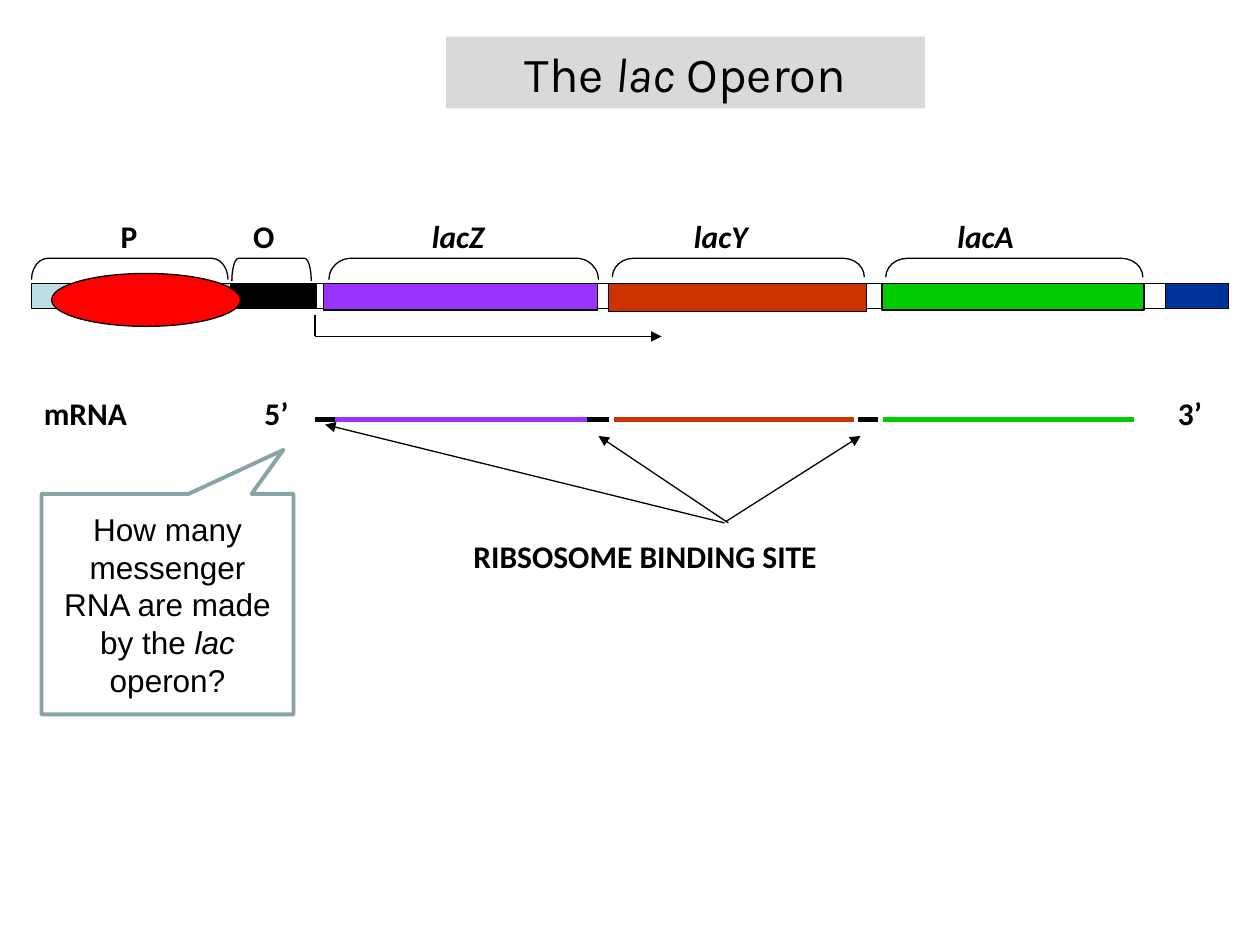
"""Build a slide on the lac operon: its genes, its mRNA and the ribosome binding sites."""
from lxml import etree
from pptx import Presentation
from pptx import util as u
from pptx.dml.color import RGBColor
from pptx.enum import shapes, text
from pptx.oxml.ns import qn

BLACK = RGBColor(0x00, 0x00, 0x00)
WHITE = RGBColor(0xFF, 0xFF, 0xFF)
GREY = RGBColor(0xD9, 0xD9, 0xD9)
PALE_BLUE = RGBColor(0xBB, 0xE0, 0xE3)
NAVY = RGBColor(0x00, 0x33, 0x99)
PURPLE = RGBColor(0x99, 0x33, 0xFF)
RUST = RGBColor(0xCC, 0x33, 0x00)
GREEN = RGBColor(0x00, 0xCC, 0x00)
RED = RGBColor(0xFF, 0x00, 0x00)
TEAL = RGBColor(0x89, 0xA4, 0xA7)

SHAPE = shapes.MSO_SHAPE
CENTER = text.PP_ALIGN.CENTER

DNA_TOP = 2.25
BRACKET_TOP = 2.05
LABEL_TOP = 1.67
MRNA_LABEL_TOP = 3.08
MRNA_Y = 3.33


def place(box, left, top, width, height):
    """Move and size a shape in inches."""
    box.left, box.top = u.Inches(left), u.Inches(top)
    box.width, box.height = u.Inches(width), u.Inches(height)


def write(box, spans, size=18, font="Calibri", bold=False, align=None,
          anchor=text.MSO_ANCHOR.TOP):
    """Fill a shape with one paragraph of (words, italic) spans."""
    frame = box.text_frame
    frame.word_wrap = True
    frame.auto_size = text.MSO_AUTO_SIZE.NONE
    frame.vertical_anchor = anchor
    para = frame.paragraphs[0]
    para.alignment = align
    for words, italic in spans:
        span = para.add_run()
        span.text = words
        span.font.name, span.font.size = font, u.Pt(size)
        span.font.bold, span.font.italic = bold, italic
        span.font.color.rgb = BLACK


def add_label(page, words, left, top, width, italic=False):
    """Add a bold one-line label."""
    box = page.shapes.add_textbox(*map(u.Inches, (left, top, width, 0.4)))
    write(box, [(words, italic)], bold=True)


def add_outlined(page, kind, left, top, width, height, fill=None,
                 line=BLACK, weight=0.75):
    """Add an outlined preset shape, hollow when no fill is given."""
    box = page.shapes.add_shape(kind, *map(u.Inches, (left, top, width, height)))
    box.shadow.inherit = False
    if fill is None:
        box.fill.background()
    else:
        box.fill.solid()
        box.fill.fore_color.rgb = fill
    box.line.color.rgb, box.line.width = line, u.Pt(weight)
    return box


def add_bracket(page, left, span, depth):
    """Add a bracket that opens downwards over a stretch of DNA."""
    box = add_outlined(page, SHAPE.LEFT_BRACKET, left + (span - depth) / 2,
                       BRACKET_TOP + (depth - span) / 2, depth, span)
    box.adjustments[0] = span / 12 / depth
    box.rotation = 90


def add_line(page, start, end, color=BLACK, weight=0.75, arrow=False):
    """Add a straight line, with an arrowhead at its end if asked."""
    line = page.shapes.add_connector(shapes.MSO_CONNECTOR.STRAIGHT,
                                     *map(u.Inches, (*start, *end)))
    line.line.color.rgb, line.line.width = color, u.Pt(weight)
    properties = line.element.spPr
    if arrow:
        etree.SubElement(properties.find(qn("a:ln")), qn("a:tailEnd"), type="triangle")
    etree.SubElement(properties, qn("a:effectLst"))


def add_title(page):
    """Format the title placeholder as a grey band."""
    title = page.shapes.title
    place(title, 3.54, 0.29, 3.8, 0.57)
    title.fill.solid()
    title.fill.fore_color.rgb = GREY
    write(title, [("The ", False), ("lac", True), (" Operon", False)], size=28,
          font="Karla", align=CENTER, anchor=text.MSO_ANCHOR.MIDDLE)


def add_dna(page):
    """Draw the DNA with its regions, brackets, labels and polymerase."""
    add_line(page, (2.5, 2.5), (2.5, 2.67))
    add_line(page, (2.5, 2.67), (5.25, 2.67), arrow=True)
    for left, width, height, fill in (
            (0.25, 2.26, 0.2, PALE_BLUE), (2.51, 6.74, 0.2, None),
            (9.25, 0.5, 0.2, NAVY), (1.83, 0.67, 0.19, BLACK),
            (2.57, 2.17, 0.21, PURPLE), (4.83, 2.05, 0.22, RUST),
            (7, 2.08, 0.21, GREEN)):
        add_outlined(page, SHAPE.RECTANGLE, left, DNA_TOP, width, height, fill)
    for words, label_left, label_width, left, span, depth in (
            ("P", 0.86, 0.58, 0.25, 1.56, 0.17), ("O", 1.91, 0.58, 1.84, 0.63, 0.18),
            ("lacZ", 3.33, 1, 2.61, 2.14, 0.17), ("lacY", 5.41, 1, 4.86, 2, 0.15),
            ("lacA", 7.5, 1, 7.03, 2.04, 0.15)):
        add_bracket(page, left, span, depth)
        add_label(page, words, label_left, LABEL_TOP, label_width,
                  italic=words.startswith("lac"))
    add_outlined(page, SHAPE.OVAL, 0.41, 2.17, 1.5, 0.42, RED)


def add_mrna(page):
    """Draw the mRNA and point to its ribosome binding sites."""
    for words, left, width in (("mRNA", 0.25, 1.33), ("5’", 2, 0.5), ("3’", 9.25, 0.5)):
        add_label(page, words, left, MRNA_LABEL_TOP, width)
    for start, end, color in (
            (2.5, 2.66, BLACK), (2.66, 4.66, PURPLE), (4.66, 4.83, BLACK),
            (4.87, 6.78, RUST), (6.81, 6.97, BLACK), (7.01, 9, GREEN)):
        add_line(page, (start, MRNA_Y), (end, MRNA_Y), color, weight=3)
    add_label(page, "RIBSOSOME BINDING SITE", 3.66, 4.21, 4.67)
    for start, site in (((5.75, 4.15), (2.58, 3.37)), ((5.78, 4.15), (4.75, 3.46)),
                        ((5.76, 4.14), (6.83, 3.46))):
        add_line(page, start, site, arrow=True)


def add_question(page):
    """Add the question callout that points at the mRNA."""
    box = add_outlined(page, SHAPE.RECTANGULAR_CALLOUT, 0.33, 3.92, 2, 1.75,
                       WHITE, TEAL, 2.25)
    box.adjustments[0], box.adjustments[1] = 0.46, -0.7
    write(box, [("How many messenger RNA are made by the ", False), ("lac ", True),
                ("operon?", False)], font="Arial", align=CENTER,
          anchor=text.MSO_ANCHOR.MIDDLE)


def main():
    """Build and save the deck."""
    deck = Presentation()
    deck.slide_width, deck.slide_height = u.Inches(10), u.Inches(7.5)
    page = deck.slides.add_slide(deck.slide_layouts.get_by_name("Title Only"))
    add_title(page)
    add_dna(page)
    add_mrna(page)
    add_question(page)
    deck.save("out.pptx")


if __name__ == "__main__":
    main()
